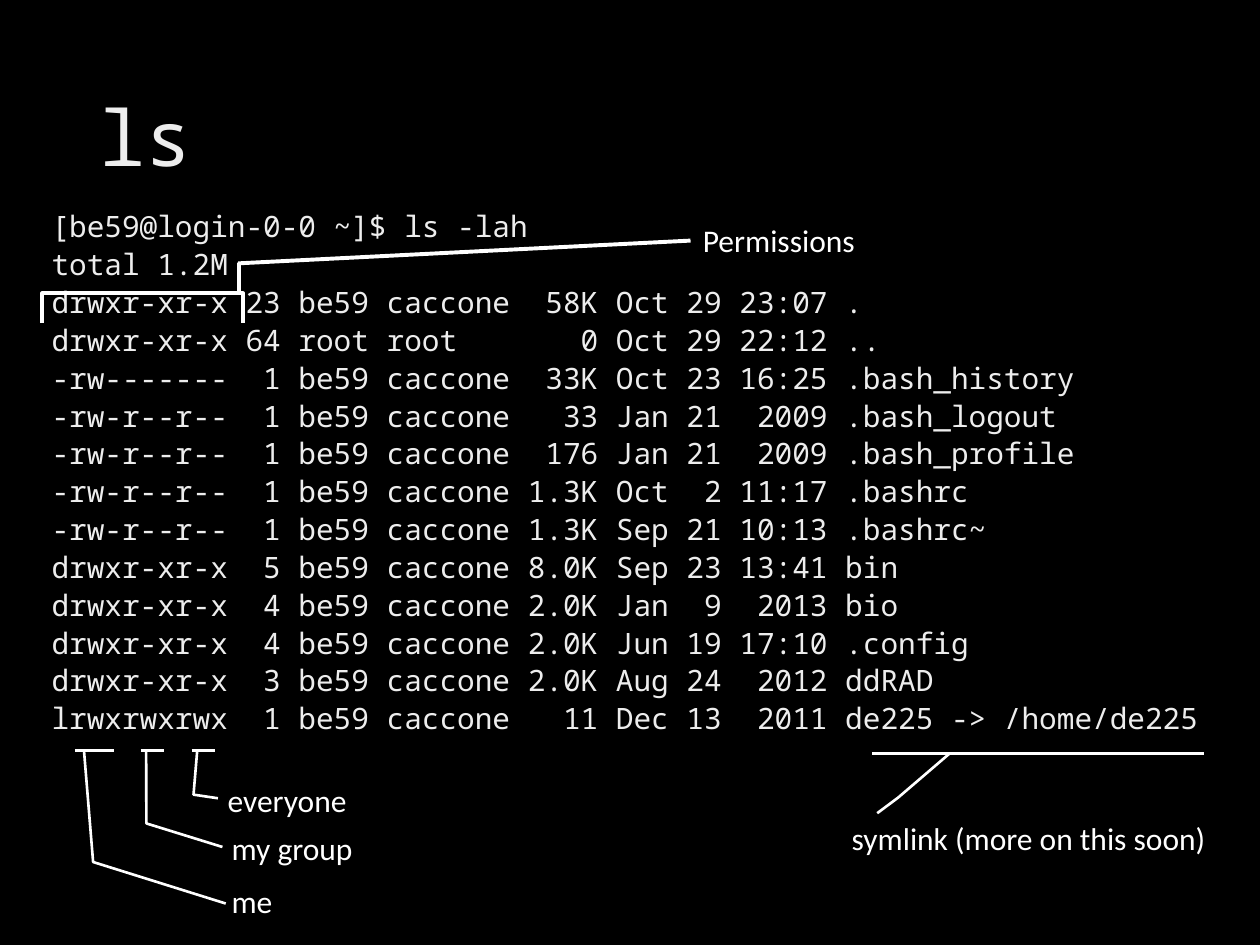
from lxml import etree
from pptx import Presentation
from pptx import util as u
from pptx.dml.color import RGBColor
from pptx.enum import shapes, text
from pptx.oxml.ns import qn

THEME = {
    "background": RGBColor(0x00, 0x00, 0x00),
    "terminal": RGBColor(0xED, 0xED, 0xED),
    "note": RGBColor(0xFF, 0xFF, 0xFF),
    "mono": "Noto Sans Mono",
    "sans": "Calibri",
    "title_size": u.Pt(44),
    "listing_size": u.Pt(16.8),
    "note_size": u.Pt(18),
    "thin": u.Pt(1.5),
    "thick": u.Pt(2.25),
}

LISTING = """\
[be59@login-0-0 ~]$ ls -lah
total 1.2M
drwxr-xr-x 23 be59 caccone  58K Oct 29 23:07 .
drwxr-xr-x 64 root root       0 Oct 29 22:12 ..
-rw-------  1 be59 caccone  33K Oct 23 16:25 .bash_history
-rw-r--r--  1 be59 caccone   33 Jan 21  2009 .bash_logout
-rw-r--r--  1 be59 caccone  176 Jan 21  2009 .bash_profile
-rw-r--r--  1 be59 caccone 1.3K Oct  2 11:17 .bashrc
-rw-r--r--  1 be59 caccone 1.3K Sep 21 10:13 .bashrc~
drwxr-xr-x  5 be59 caccone 8.0K Sep 23 13:41 bin
drwxr-xr-x  4 be59 caccone 2.0K Jan  9  2013 bio
drwxr-xr-x  4 be59 caccone 2.0K Jun 19 17:10 .config
drwxr-xr-x  3 be59 caccone 2.0K Aug 24  2012 ddRAD
lrwxrwxrwx  1 be59 caccone   11 Dec 13  2011 de225 -> /home/de225"""


def write(paragraph, words, font, size, color, **spacing):
    """Fill a left-aligned paragraph and apply its font and spacing."""
    paragraph.text = words
    paragraph.font.color.rgb = THEME[color]
    for name, value in {"name": THEME[font], "size": THEME[size]}.items():
        setattr(paragraph.font, name, value)
    for name, value in {"alignment": text.PP_ALIGN.LEFT, **spacing}.items():
        setattr(paragraph, name, value)


def add_outline(slide, preset, box, adjustments, width):
    """Add an unfilled preset turned a quarter to the left."""
    outline = slide.shapes.add_shape(preset, *map(u.Cm, box))
    outline.rotation = 270
    outline.shadow.inherit = False
    outline.fill.background()
    outline.line.color.rgb = THEME["note"]
    outline.line.width = THEME[width]
    for index, value in enumerate(adjustments):
        outline.adjustments[index] = value


prs = Presentation()
prs.slide_width, prs.slide_height = u.Cm(25.4), u.Cm(19.05)
slide = prs.slides.add_slide(prs.slide_layouts[5])
slide.background.fill.solid()
slide.background.fill.fore_color.rgb = THEME["background"]

# Command name and its terminal listing
title = slide.shapes.title
title_place = {"left": 1.75, "top": 1.02, "width": 21.89, "height": 3.68}
for side, length in title_place.items():
    setattr(title, side, u.Cm(length))
title.text_frame.vertical_anchor = text.MSO_ANCHOR.MIDDLE
write(title.text_frame.paragraphs[0], "ls", "mono", "title_size", "terminal",
      line_spacing=0.9)

listing = slide.shapes.add_textbox(
    u.Cm(0.79), u.Cm(4.27), u.Cm(24.36), u.Cm(11.89)).text_frame
listing.word_wrap = True
for row, line in enumerate(LISTING.splitlines()):
    paragraph = listing.add_paragraph() if row else listing.paragraphs[0]
    write(paragraph, line, "mono", "listing_size", "terminal",
          line_spacing=0.7, space_before=u.Pt(7.5 if row else 0))

# Marks under the last row: box, then the leader's bend and end
MARKS = [
    ((-2.12, 10.51, 8.05, 0.79), (0.467, -0.304, 3.85, -0.408)),   # me
    ((-0.95, 10.66, 8.05, 0.48), (0.244, -0.208, 3.438, -0.267)),  # my group
    ((0.08, 10.66, 8.05, 0.48), (0.078, -0.136, 1.104, -0.145)),   # everyone
    ((16.9, 7.62, 8.05, 6.68), (0.078, -0.136, 0.015, -0.175)),    # symlink
]
for box, leader in MARKS:
    add_outline(slide, shapes.MSO_SHAPE.LINE_CALLOUT_2_ACCENT_BAR, box,
                (0.234, -0.025, *leader), "thin")

# Bracket over the permission column
add_outline(slide, shapes.MSO_SHAPE.RIGHT_BRACE, (2.28, 3.89, 1.19, 4.05),
            (0, 0.979), "thick")

NOTES = {
    "everyone": (4.34, 15.62, 2.97),
    "my group": (4.42, 16.59, 3.05),
    "me": (4.42, 17.65, 1.37),
    "symlink (more on this soon)": (16.92, 16.38, 7.77),
    "Permissions": (13.92, 4.34, 3.66),
}
notes = {}
for words, place in NOTES.items():
    notes[words] = slide.shapes.add_textbox(*map(u.Cm, (*place, 1.02)))
    frame = notes[words].text_frame
    frame.word_wrap = False
    frame.auto_size = text.MSO_AUTO_SIZE.SHAPE_TO_FIT_TEXT
    write(frame.paragraphs[0], words, "sans", "note_size", "note")

permissions_leader = slide.shapes.add_connector(
    shapes.MSO_CONNECTOR.STRAIGHT, u.Cm(4.8), u.Cm(5.31), u.Cm(13.92), u.Cm(4.85))
permissions_leader.end_connect(notes["Permissions"], 1)
permissions_leader.line.color.rgb = THEME["note"]
permissions_leader.line.width = THEME["thick"]
etree.SubElement(permissions_leader._element.spPr, qn("a:effectLst"))

prs.save("out.pptx")
